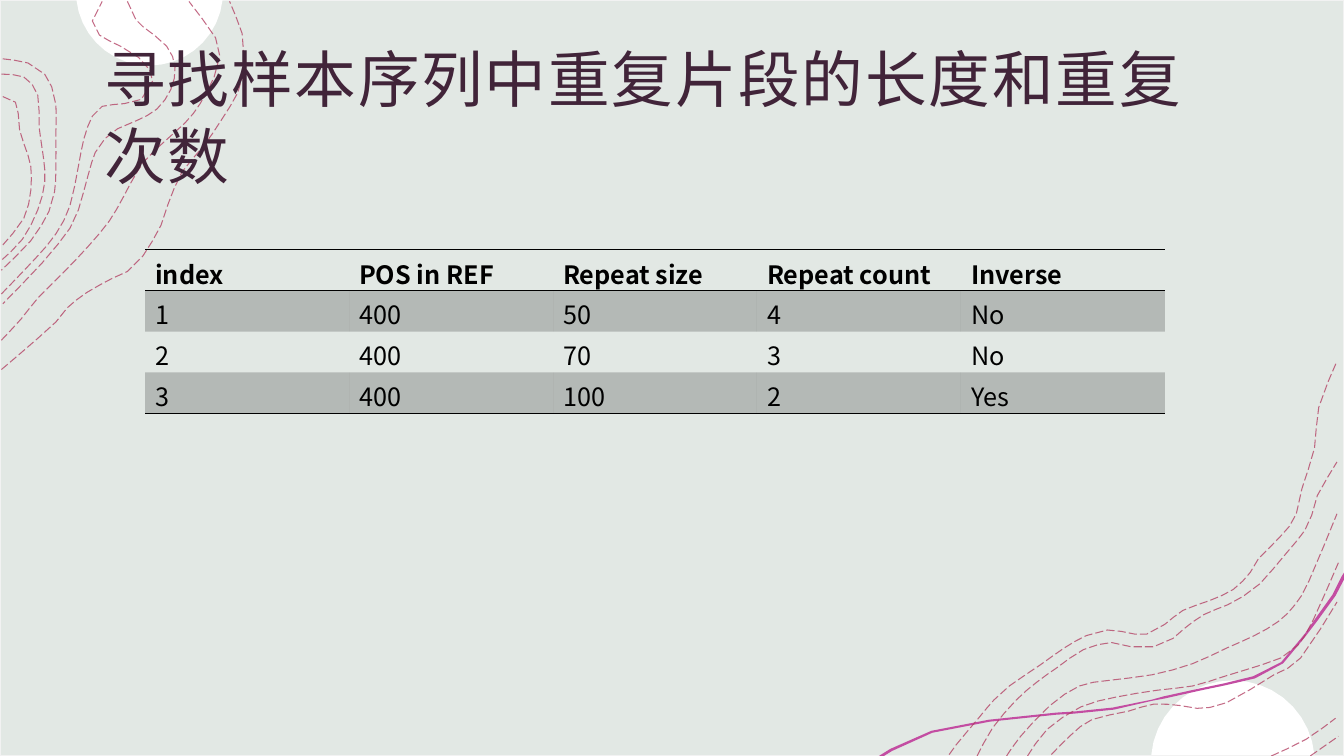
import math
from dataclasses import dataclass

from lxml import etree
from pptx import Presentation
from pptx import util as u
from pptx.dml.color import RGBColor
from pptx.enum import dml, shapes, text
from pptx.oxml import ns

SAGE = RGBColor(0xE2, 0xE8, 0xE4)
PALE_GREY = RGBColor(0xF2, 0xF2, 0xF2)
WHITE = RGBColor(0xFF, 0xFF, 0xFF)
MAGENTA = RGBColor(0xC3, 0x4D, 0xA2)
ROSE = RGBColor(0xB1, 0x3B, 0x5F)
PLUM = RGBColor(0x41, 0x24, 0x39)
BLACK = RGBColor(0, 0, 0)
FONT = "Noto Sans CJK SC"
NO_GRID_STYLE = "{2D5ABB26-0587-4C30-8999-92F81FD0307C}"
WIDTH, HEIGHT = 960, 540
LONG_CHORD = 16

Points = list[tuple[float, float]]


@dataclass
class Disc:
    """A circle cut off by a horizontal edge of the slide."""
    x: float
    y: float
    radius: float
    edge: float
    sweep: float


DISCS = [Disc(106.8, -5.7, 52.5, 0, math.pi), Disc(880.6, 544.5, 58.5, 539.3, -math.pi)]

RIBBON = [
    (627.8, 540), (635.8, 535), (665.3, 522), (706.3, 514.1), (754.6, 509), (766.8, 508.3),
    (794.9, 505.4), (823, 499.7), (830.9, 497.5), (856.8, 491.8), (874.1, 488.2), (895, 483.1),
    (915.1, 473), (929.5, 455.8), (932.4, 452.2), (938.9, 442.8), (951.8, 424.8), (958.3, 411.8),
    (960, 409), (960, 414), (954, 425.5), (941, 443.5), (933.8, 452.9), (931, 456.5),
    (916.6, 473.8), (896.4, 484.6), (874.8, 489.6), (857.5, 493.2), (831.6, 499), (823.7, 500.4),
    (795.6, 506.9), (766.8, 509.8), (754.6, 510.5), (707, 515.5), (666, 523.4), (637.2, 536.4),
    (631.4, 540)]

TOP_LEFT_CONTOURS = [
    [(1, 264), (14, 253), (40, 230), (48, 220), (62, 209), (80, 199), (91, 194), (102, 183),
     (115, 161), (120, 146), (130, 123), (145, 105), (158, 86), (170, 66), (174, 51), (174, 38),
     (173, 24), (164, 1)],
    [(1, 243), (15, 228), (27, 213), (46, 194), (63, 176), (78, 158), (88, 141), (99, 121),
     (111, 107), (132, 88), (143, 74), (153, 55), (157, 40), (154, 27), (135, 1)],
    [(91, 1), (97, 14), (102, 19), (119, 33), (125, 48), (122, 64), (112, 78), (98, 86), (84, 92),
     (75, 99), (68, 109), (63, 125), (56, 150), (50, 163), (30, 188), (2, 217)],
    [(1, 210), (25, 185), (40, 167), (50, 147), (56, 119), (60, 99), (66, 83), (73, 76), (89, 74),
     (101, 71), (109, 58), (107, 50), (99, 41), (86, 33), (71, 25), (66, 15), (73, 1)],
    [(2, 42), (20, 45), (32, 53), (37, 62), (40, 75), (40, 95), (40, 121), (39, 137), (35, 151),
     (22, 172), (1, 193)],
    [(1, 53), (17, 55), (27, 68), (28, 91), (31, 112), (32, 130), (27, 150), (16, 171), (1, 186)],
    [(2, 69), (11, 73), (13, 81), (14, 93), (20, 111), (22, 119), (22, 136), (17, 156), (2, 175)],
]
BOTTOM_RIGHT_CONTOURS = [
    [(678, 539), (683, 532), (699, 513), (710, 500), (721, 490), (743, 475), (760, 463),
     (776, 454), (791, 450), (801, 451), (811, 453), (819, 453), (832, 446), (845, 436),
     (864, 429), (881, 421), (893, 409), (899, 399), (908, 390), (921, 376), (926, 367),
     (930, 349), (939, 320), (942, 291), (955, 258)],
    [(698, 540), (709, 520), (726, 500), (741, 487), (755, 477), (774, 464), (794, 459),
     (808, 462), (824, 462), (838, 456), (846, 449), (860, 439), (877, 432), (888, 426),
     (900, 417), (919, 395), (932, 379), (937, 368), (941, 354), (955, 330)],
    [(936, 540), (956, 526)],
    [(908, 540), (933, 528), (954, 513)],
    [(751, 539), (765, 525), (780, 514), (806, 508), (824, 503), (843, 504), (855, 506),
     (876, 502), (910, 482), (929, 470), (955, 430)],
    [(734, 540), (748, 521), (772, 505), (797, 498), (827, 493), (852, 490), (875, 483),
     (901, 475), (915, 470), (927, 461), (938, 443), (956, 402)],
    [(719, 540), (729, 526), (750, 504), (771, 490), (792, 486), (823, 482), (852, 474),
     (876, 463), (896, 454), (913, 444), (925, 432), (935, 415), (955, 367)],
]

REPEATS = [
    ["index", "POS in REF", "Repeat size", "Repeat count", "Inverse"],
    ["1", "400", "50", "4", "No"],
    ["2", "400", "70", "3", "No"],
    ["3", "400", "100", "2", "Yes"],
]


def smooth(knots: Points) -> Points:
    """Bow each long chord through the middle of its Catmull-Rom curve."""
    padded = [knots[0], *knots, knots[-1]]
    curve = [knots[0]]
    for a, b, c, d in zip(padded, padded[1:], padded[2:], padded[3:]):
        if math.dist(b, c) > LONG_CHORD:
            x, y = ((9 * (q + r) - p - s) / 16 for p, q, r, s in zip(a, b, c, d))
            curve.append((x, y))
        curve.append(c)
    return curve


def add_outline(parent, points: Points, close: bool):
    (left, top), *rest = [(u.Pt(x), u.Pt(y)) for x, y in points]
    builder = parent.build_freeform(left, top)
    builder.add_line_segments(rest, close=close)
    shape = builder.convert_to_shape()
    shape.shadow.inherit = False
    return shape


def add_filled(parent, points: Points, color: RGBColor) -> None:
    shape = add_outline(parent, points, True)
    shape.fill.solid()
    shape.fill.fore_color.rgb = color
    shape.line.fill.background()


def set_alpha(properties, percent: int) -> None:
    color = properties.find(".//" + ns.qn("a:srgbClr"))
    etree.SubElement(color, ns.qn("a:alpha"), val=str(percent * 1000))


def add_contours(slide, contours: list[Points]) -> None:
    group = slide.shapes.add_group_shape()
    for knots in contours:
        shape = add_outline(group.shapes, smooth(knots), False)
        shape.fill.background()
        shape.line.color.rgb = ROSE
        shape.line.width = u.Pt(0.75)
        shape.line.dash_style = dml.MSO_LINE.LONG_DASH
        set_alpha(shape.line._ln, 75)


def disc_points(disc: Disc, steps: int = 18) -> Points:
    start = math.asin((disc.edge - disc.y) / disc.radius)
    angles = [start + (disc.sweep - 2 * start) * i / steps for i in range(steps + 1)]
    return [(disc.x + disc.radius * math.cos(a), disc.y + disc.radius * math.sin(a))
            for a in angles]


def format_font(run, size: float, color: RGBColor, bold: bool = False) -> None:
    for name, value in {"name": FONT, "size": u.Pt(size), "bold": bold}.items():
        setattr(run.font, name, value)
    run.font.color.rgb = color
    etree.SubElement(run._r.get_or_add_rPr(), ns.qn("a:ea"), typeface=FONT)


def add_title(slide, wording: str) -> None:
    frame = slide.shapes.add_textbox(u.Pt(66), u.Pt(28.8), u.Pt(828), u.Pt(104.4)).text_frame
    layout = {"word_wrap": True, "vertical_anchor": text.MSO_ANCHOR.MIDDLE,
              "margin_left": u.Pt(8.64), "margin_right": u.Pt(8.64),
              "margin_top": u.Pt(8.64), "margin_bottom": u.Pt(7.2)}
    for name, value in layout.items():
        setattr(frame, name, value)
    paragraph = frame.paragraphs[0]
    paragraph.line_spacing = 1.05
    run = paragraph.add_run()
    run.text = wording
    format_font(run, 44, PLUM)
    run._r.get_or_add_rPr().set("spc", "130")


def add_border(cell, side: str) -> None:
    line = etree.SubElement(cell._tc.get_or_add_tcPr(), ns.qn(f"a:{side}"), w=str(u.Pt(1)))
    fill = etree.SubElement(line, ns.qn("a:solidFill"))
    etree.SubElement(fill, ns.qn("a:srgbClr"), val=str(BLACK))


def add_repeat_table(slide, rows: list[list[str]]) -> None:
    frame = slide.shapes.add_table(len(rows), len(rows[0]), u.Pt(103.7), u.Pt(178.4),
                                   u.Pt(728.5), u.Pt(116.8))
    table = frame.table
    table.horz_banding = False
    table._tbl.tblPr.find(ns.qn("a:tableStyleId")).text = NO_GRID_STYLE
    borders = {0: ["lnT", "lnB"], len(rows) - 1: ["lnB"]}
    for row, values in enumerate(rows):
        for column, value in enumerate(values):
            cell = table.cell(row, column)
            run = cell.text_frame.paragraphs[0].add_run()
            run.text = value
            format_font(run, 18, BLACK, bold=row == 0)
            for side in borders.get(row, []):
                add_border(cell, side)
            if row % 2:
                cell.fill.solid()
                cell.fill.fore_color.rgb = BLACK
                set_alpha(cell._tc.tcPr.find(ns.qn("a:solidFill")), 20)
            else:
                cell.fill.background()


def main() -> None:
    presentation = Presentation()
    presentation.slide_width, presentation.slide_height = u.Pt(WIDTH), u.Pt(HEIGHT)
    slide = presentation.slides.add_slide(presentation.slide_layouts[6])

    # Backdrop
    backdrop = slide.shapes.add_shape(shapes.MSO_SHAPE.RECTANGLE, 0, 0, u.Pt(WIDTH), u.Pt(HEIGHT))
    backdrop.shadow.inherit = False
    backdrop.fill.solid()
    backdrop.fill.fore_color.rgb = SAGE
    backdrop.line.color.rgb = PALE_GREY
    backdrop.line.width = u.Pt(1)

    # Discs, ribbon and contour lines
    for disc in DISCS:
        add_filled(slide.shapes, disc_points(disc), WHITE)
    add_filled(slide.shapes, RIBBON, MAGENTA)
    for contours in (TOP_LEFT_CONTOURS, BOTTOM_RIGHT_CONTOURS):
        add_contours(slide, contours)

    # Title and table
    add_title(slide, "寻找样本序列中重复片段的长度和重复次数")
    add_repeat_table(slide, REPEATS)
    presentation.save("out.pptx")


if __name__ == "__main__":
    main()
